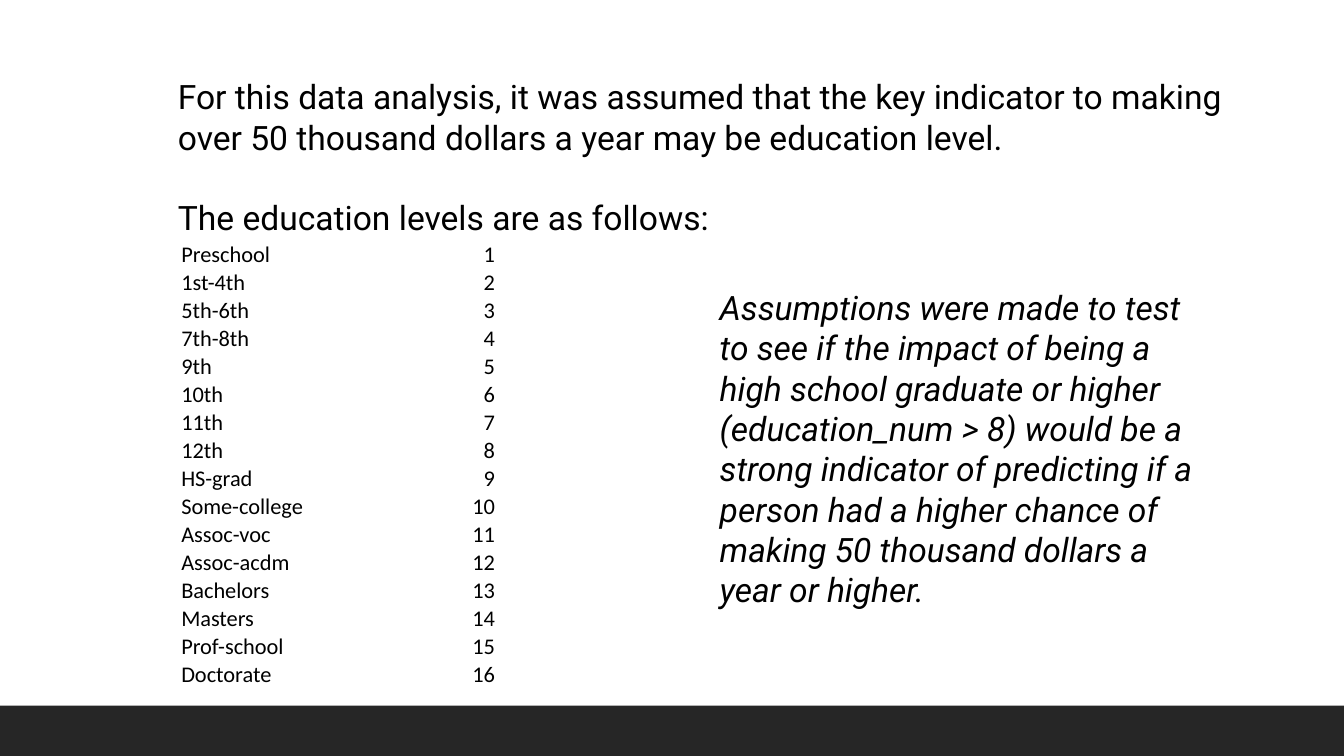
import dataclasses

import pptx
import pptx.dml.color
import pptx.enum.shapes
import pptx.enum.text
import pptx.util

PX = pptx.util.Inches(1) // 144
ALIGN = pptx.enum.text.PP_ALIGN


@dataclasses.dataclass(frozen=True)
class Theme:
    ink: str = "000000"
    band: str = "262626"
    body_font: str = "Roboto"
    table_font: str = "Calibri"
    body_size: int = 24
    table_size: int = 16
    paragraph_gap: float = 28.8


THEME = Theme()
INTRO = [
    "For this data analysis, it was assumed that the key indicator to making "
    "over 50 thousand dollars a year may be education level.",
    "The education levels are as follows:",
]
ASSUMPTION = (
    "Assumptions were made to test to see if the impact of being a high school "
    "graduate or higher (education_num > 8) would be a strong indicator of "
    "predicting if a person had a higher chance of making 50 thousand dollars "
    "a year or higher."
)
LEVELS = [
    "Preschool", "1st-4th", "5th-6th", "7th-8th", "9th", "10th", "11th", "12th",
    "HS-grad", "Some-college", "Assoc-voc", "Assoc-acdm", "Bachelors", "Masters",
    "Prof-school", "Doctorate",
]


def scaled(box):
    return [length * PX for length in box]


def color(value):
    return pptx.dml.color.RGBColor.from_string(value)


def write(para, text, font=THEME.body_font, size=THEME.body_size,
          italic=False, align=ALIGN.LEFT, before=0):
    para.alignment = align
    para.space_before = pptx.util.Pt(before)
    span = para.add_run()
    span.text = text
    span.font.name = font
    span.font.size = pptx.util.Pt(size)
    span.font.italic = italic
    span.font.color.rgb = color(THEME.ink)


def add_band(page, box):
    band = page.shapes.add_shape(
        pptx.enum.shapes.MSO_SHAPE.RECTANGLE, *scaled(box))
    band.shadow.inherit = False
    band.fill.solid()
    band.fill.fore_color.rgb = color(THEME.band)
    band.line.fill.background()


def add_text(page, box, texts, italic=False):
    frame = page.shapes.add_textbox(*scaled(box)).text_frame
    frame.word_wrap = True
    for index, text in enumerate(texts):
        para = frame.add_paragraph() if index else frame.paragraphs[0]
        write(para, text, italic=italic,
              before=THEME.paragraph_gap if index else 0)


def add_levels(page, box, name_width):
    left, top, width, height = box
    table = page.shapes.add_table(len(LEVELS), 2, *scaled(box)).table
    table.first_row = False
    table.horz_banding = False
    table.columns[0].width = name_width * PX
    table.columns[1].width = (width - name_width) * PX
    for index, level in enumerate(LEVELS):
        table.rows[index].height = height * PX // len(LEVELS)
        entries = [(level, ALIGN.LEFT), (str(index + 1), ALIGN.RIGHT)]
        for column, (text, align) in enumerate(entries):
            cell = table.cell(index, column)
            cell.fill.background()
            cell.vertical_anchor = pptx.enum.text.MSO_ANCHOR.BOTTOM
            cell.margin_left = cell.margin_right = cell.margin_top = PX
            cell.margin_bottom = 0
            write(cell.text_frame.paragraphs[0], text, font=THEME.table_font,
                  size=THEME.table_size, align=align)


def add_education_page(deck, box):
    left, top, width, height = box
    page = deck.slides.add_slide(deck.slide_layouts[6])
    add_band(page, (left, top + height - 72, width, 72))
    add_text(page, (left + 240, top + 102, 1545, 334), INTRO)
    add_levels(page, (left + 258, top + 344, 450, 640), 210)
    add_text(page, (left + 1014, top + 403, 706, 480), [ASSUMPTION], italic=True)


def main():
    deck = pptx.Presentation()
    deck.slide_width, deck.slide_height = scaled((1920, 1080))
    add_education_page(deck, (0, 0, 1920, 1080))
    deck.save("out.pptx")


if __name__ == "__main__":
    main()
